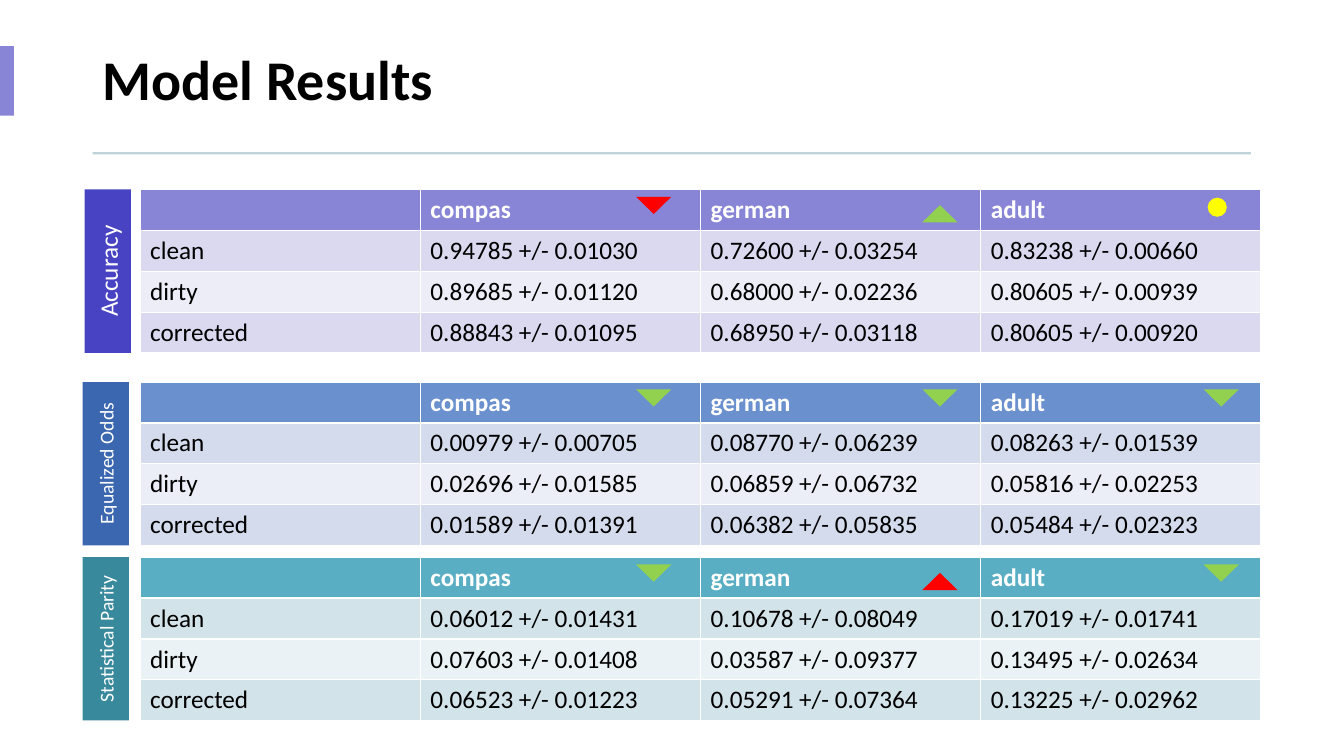
"""Build the Model Results slide: three metric tables with labels and trend markers."""
from dataclasses import dataclass

from pptx import Presentation
from pptx.dml.color import RGBColor
from pptx.enum import shapes, text
from pptx.util import Pt

FONT = "Calibri"
COLORS = {
    "white": "FFFFFF", "black": "000000", "accent": "8885D7", "rule": "BED3DA",
    "good": "92D050", "bad": "FF0000", "same": "FFFF00",
    "violet label": "4843C2", "violet header": "8885D7",
    "violet band": "DAD9F0", "violet light": "EDEDF8",
    "blue label": "3A67B0", "blue header": "6A90CE",
    "blue band": "D4DBED", "blue light": "EBEEF6",
    "teal label": "39899D", "teal header": "5AAEC3",
    "teal band": "D2E3E9", "teal light": "EAF2F5",
}
DATASETS = ("compas", "german", "adult")
TABLE_LEFT, COLUMN_WIDTH, ROW_HEIGHT = 100.08, 200.16, 29.16
TABLE_HEIGHT = 4 * ROW_HEIGHT
MARKER_LEFTS = (454.3, 658.8, 859.7)
RECTANGLE = shapes.MSO_SHAPE.RECTANGLE


@dataclass(frozen=True)
class Trend:
    """Direction and verdict of the change on one dataset."""
    direction: str
    verdict: str


@dataclass(frozen=True)
class Metric:
    """One results table with its side label."""
    name: str
    hue: str
    top: float
    label_left: float
    label_size: int
    rows: tuple[tuple[str, ...], ...]
    trends: tuple[Trend, ...]


METRICS = (
    Metric("Accuracy", "violet", 135.36, 60.5, 18, (
        ("clean", "0.94785 +/- 0.01030", "0.72600 +/- 0.03254", "0.83238 +/- 0.00660"),
        ("dirty", "0.89685 +/- 0.01120", "0.68000 +/- 0.02236", "0.80605 +/- 0.00939"),
        ("corrected", "0.88843 +/- 0.01095", "0.68950 +/- 0.03118", "0.80605 +/- 0.00920"),
    ), (Trend("down", "bad"), Trend("up", "good"), Trend("flat", "same"))),
    Metric("Equalized Odds", "blue", 272.88, 59, 14, (
        ("clean", "0.00979 +/- 0.00705", "0.08770 +/- 0.06239", "0.08263 +/- 0.01539"),
        ("dirty", "0.02696 +/- 0.01585", "0.06859 +/- 0.06732", "0.05816 +/- 0.02253"),
        ("corrected", "0.01589 +/- 0.01391", "0.06382 +/- 0.05835", "0.05484 +/- 0.02323"),
    ), (Trend("down", "good"),) * 3),
    Metric("Statistical Parity", "teal", 398, 59, 14, (
        ("clean", "0.06012 +/- 0.01431", "0.10678 +/- 0.08049", "0.17019 +/- 0.01741"),
        ("dirty", "0.07603 +/- 0.01408", "0.03587 +/- 0.09377", "0.13495 +/- 0.02634"),
        ("corrected", "0.06523 +/- 0.01223", "0.05291 +/- 0.07364", "0.13225 +/- 0.02962"),
    ), (Trend("down", "good"), Trend("up", "bad"), Trend("down", "good"))),
)


def color(name: str) -> RGBColor:
    """Return the named colour."""
    return RGBColor.from_string(COLORS[name])


def format_text(text_frame, size: float, color_name: str, bold: bool = False) -> None:
    """Format every run of a text frame."""
    for paragraph in text_frame.paragraphs:
        for run in paragraph.runs:
            run.font.name = FONT
            run.font.size = Pt(size)
            run.font.bold = bold
            run.font.color.rgb = color(color_name)


def add_block(slide, kind, left: float, top: float, width: float, height: float, fill: str):
    """Add a flat filled shape without outline."""
    shape = slide.shapes.add_shape(kind, Pt(left), Pt(top), Pt(width), Pt(height))
    shape.shadow.inherit = False
    shape.fill.solid()
    shape.fill.fore_color.rgb = color(fill)
    shape.line.fill.background()
    return shape


def add_title(slide) -> None:
    """Place the title with its accent bar and rule."""
    title = slide.shapes.title
    title.left, title.top, title.width, title.height = Pt(66.24), Pt(19.44), Pt(827.28), Pt(79.2)
    title.text_frame.text = "Model Results"
    title.text_frame.vertical_anchor = text.MSO_ANCHOR.MIDDLE
    title.text_frame.auto_size = text.MSO_AUTO_SIZE.NONE
    paragraph = title.text_frame.paragraphs[0]
    paragraph.alignment = text.PP_ALIGN.LEFT
    paragraph.line_spacing = 0.9
    format_text(title.text_frame, 40, "black", True)
    add_block(slide, RECTANGLE, 0, 33, 10, 49.7, "accent")
    add_block(slide, RECTANGLE, 66.24, 108.7, 827.28, 1.5, "rule")


def add_metric_table(slide, metric: Metric) -> None:
    """Add the table of one metric."""
    rows = (("", *DATASETS), *metric.rows)
    frame = slide.shapes.add_table(len(rows), len(rows[0]), Pt(TABLE_LEFT), Pt(metric.top),
                                   Pt(4 * COLUMN_WIDTH), Pt(TABLE_HEIGHT))
    for row_index, row in enumerate(rows):
        header = row_index == 0
        shade = "header" if header else "band" if row_index % 2 else "light"
        for column_index, value in enumerate(row):
            cell = frame.table.cell(row_index, column_index)
            cell.text_frame.text = value
            format_text(cell.text_frame, 18, "white" if header else "black", header)
            cell.fill.solid()
            cell.fill.fore_color.rgb = color(f"{metric.hue} {shade}")


def add_metric_label(slide, metric: Metric) -> None:
    """Add the vertical label beside a table."""
    label = add_block(slide, RECTANGLE, metric.label_left, metric.top, 33.1, TABLE_HEIGHT,
                      f"{metric.hue} label")
    text_frame = label.text_frame
    text_frame.text = metric.name
    text_frame.word_wrap = True
    text_frame.vertical_anchor = text.MSO_ANCHOR.MIDDLE
    text_frame.paragraphs[0].alignment = text.PP_ALIGN.CENTER
    text_frame._txBody.bodyPr.set("vert", "vert270")
    format_text(text_frame, metric.label_size, "white")


def add_trend(slide, trend: Trend, left: float, table_top: float) -> None:
    """Add a trend marker in a table header."""
    if trend.direction == "flat":
        add_block(slide, shapes.MSO_SHAPE.OVAL, left + 2.9, table_top + 5.8, 13.7, 13.7,
                  trend.verdict)
        return
    up = trend.direction == "up"
    marker = add_block(slide, shapes.MSO_SHAPE.ISOSCELES_TRIANGLE, left,
                       table_top + (11.2 if up else 5.2), 25.2, 12.3, trend.verdict)
    marker.rotation = 0 if up else 180


def main() -> None:
    """Build and save the presentation."""
    presentation = Presentation()
    presentation.slide_width, presentation.slide_height = Pt(960), Pt(540)
    slide = presentation.slides.add_slide(presentation.slide_layouts.get_by_name("Title Only"))
    add_title(slide)
    for metric in METRICS:
        add_metric_table(slide, metric)
        add_metric_label(slide, metric)
        for trend, left in zip(metric.trends, MARKER_LEFTS):
            add_trend(slide, trend, left, metric.top)
    presentation.save("out.pptx")


if __name__ == "__main__":
    main()
